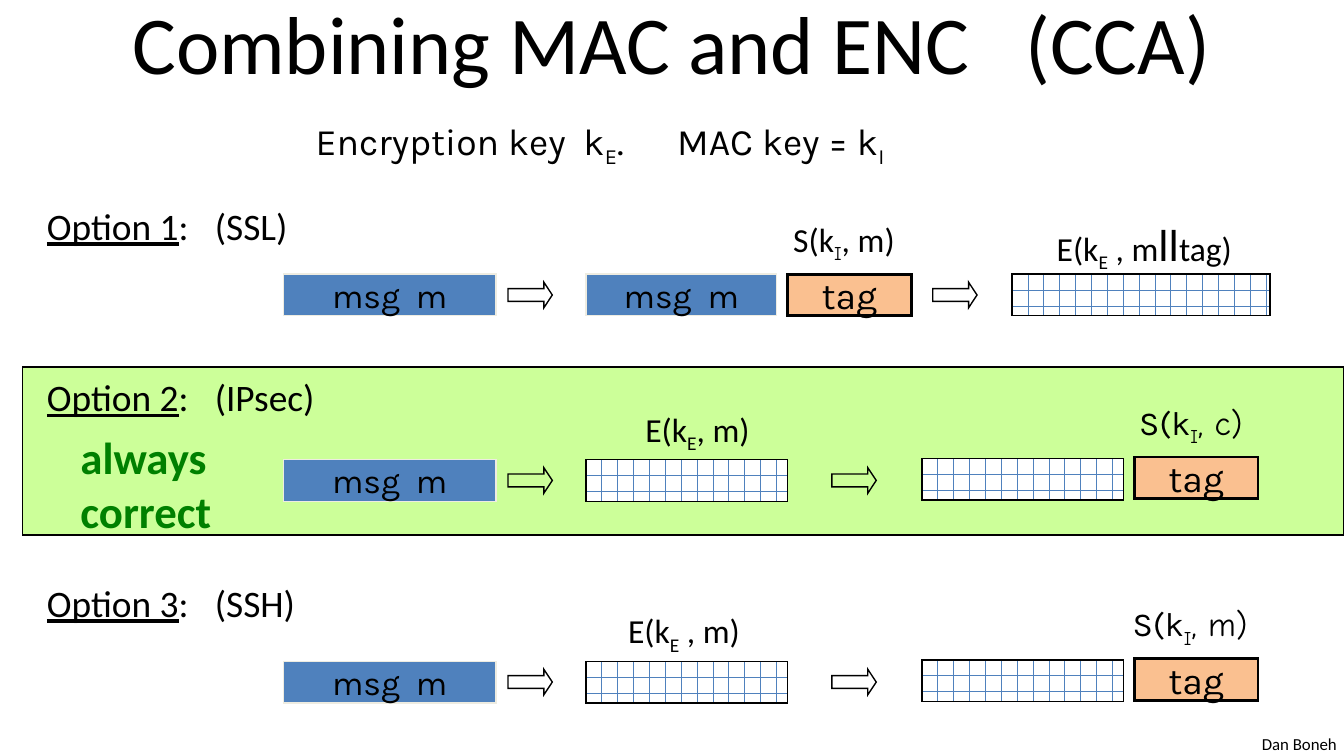
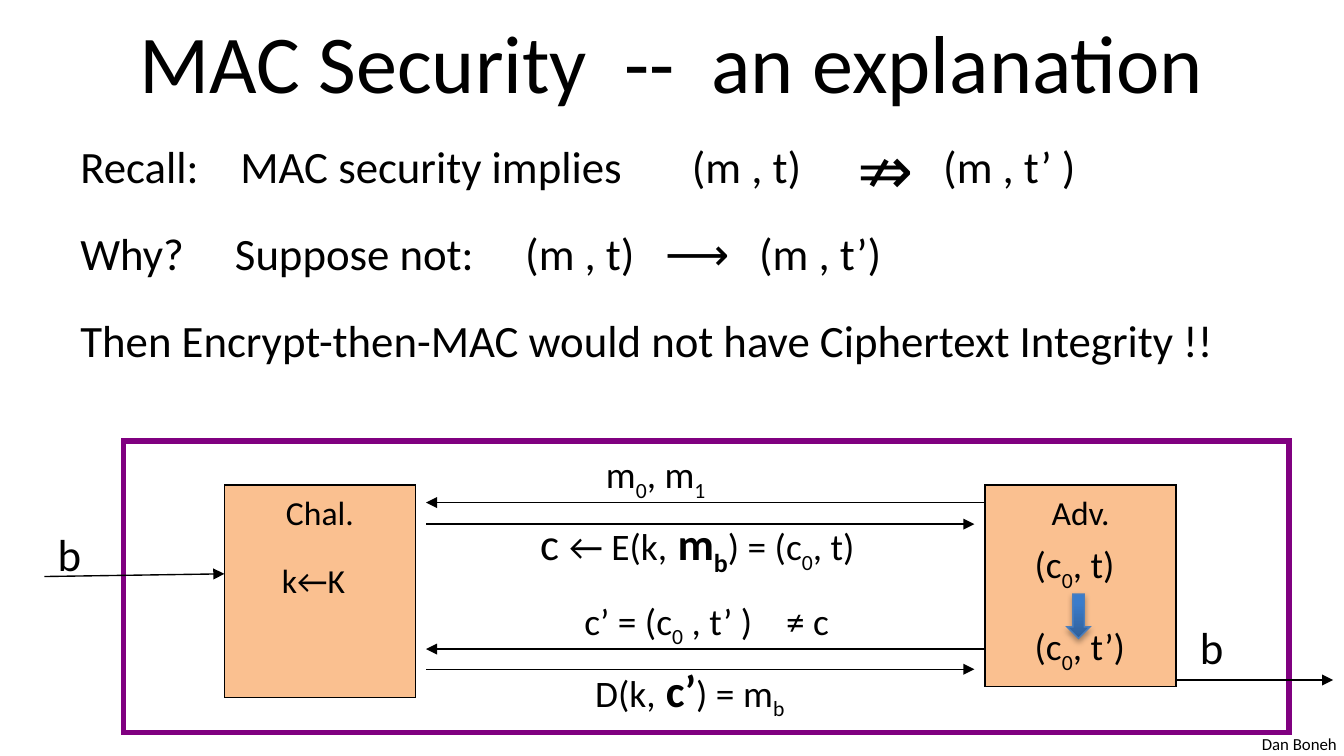
import pptx
import pptx.util
import pptx.dml.color
import pptx.enum.dml
import pptx.enum.shapes
import pptx.enum.text
import pptx.oxml
import pptx.oxml.ns
import lxml.etree

# Shared look
hue = pptx.dml.color.RGBColor.from_string
Pt = pptx.util.Pt
KIND = pptx.enum.shapes.MSO_SHAPE
ALIGN = pptx.enum.text.PP_ALIGN
ANCHOR = pptx.enum.text.MSO_ANCHOR
FIT = pptx.enum.text.MSO_AUTO_SIZE
QN = pptx.oxml.ns.qn
BLACK, BLUE, PEACH = "000000", "4F81BD", "FAC090"
LIME, GREEN, PURPLE, CREAM = "CCFF99", "008000", "800080", "EEECE1"
SUB = {"sub": True}
LINE = {"under": True}
BRICK = "brick"

deck = pptx.Presentation()
deck.slide_width = pptx.util.Inches(10)
deck.slide_height = deck.slide_width * 9 // 16
CELL = deck.slide_width / 100  # grid of 100 columns, square cells


def say(par, runs, size, font="Calibri", tint=BLACK):
    """Add runs of (text, options) to a paragraph."""
    for text, opts in runs:
        run = par.add_run()
        run.text = text
        run.font.size = Pt(opts.get("size", size))
        run.font.name = opts.get("font", font)
        run.font.bold = opts.get("bold", False)
        run.font.underline = opts.get("under", False)
        run.font.color.rgb = hue(tint)
        if opts.get("sub"):
            run.font._element.set("baseline", "-25000")


def draw(page, kind, at, runs=(), size=18, font="Calibri", fill=None,
         edge=BLACK, wide=0.75, mid=True):
    """Add a shape, or a text box if kind is None; at is in grid cells."""
    spot = [round(n * CELL) for n in at]
    if kind is None:
        item = page.shapes.add_textbox(*spot)
        item.text_frame.auto_size = FIT.SHAPE_TO_FIT_TEXT
    else:
        item = page.shapes.add_shape(kind, *spot)
        item.shadow.inherit = False
        item.line.color.rgb = hue(edge)
        item.line.width = Pt(wide)
        lxml.etree.SubElement(item.line._get_or_add_ln(), QN("a:miter"),
                              lim="800000")
        if fill is None:
            item.fill.background()
        elif fill == BRICK:
            item.fill.patterned()
            item.fill.pattern = pptx.enum.dml.MSO_PATTERN.HORIZONTAL_BRICK
            item.fill.fore_color.rgb = hue(BLUE)
            item.fill.back_color.rgb = hue("FFFFFF")
        else:
            item.fill.solid()
            item.fill.fore_color.rgb = hue(fill)
    frame = item.text_frame
    frame.word_wrap = False
    frame.vertical_anchor = ANCHOR.MIDDLE if kind and mid else ANCHOR.TOP
    frame.paragraphs[0].alignment = ALIGN.CENTER if kind else ALIGN.LEFT
    say(frame.paragraphs[0], runs, size, font)
    return item


# Titles, body text and footers
# Body lines: space before, tab stops in cells, font, runs
plans = [
    ("Combining MAC and ENC   (CCA)", (7.5, 0, 85, 6.2),
     (2.5, 8.3, 89.4, 45.6), 20, [
        (0, [20, 46.9], "Karla", [
            ("\tEncryption key  k", {}), ("E", SUB),
            (".\tMAC key = k", {}), ("I", SUB)]),
        (18, [12.5], "Calibri", [("Option 1", LINE), (":\t(SSL)", {})]),
        (68, [12.5], "Calibri", [("Option 2", LINE), (":\t(IPsec)", {})]),
        (86, [12.5], "Calibri", [("Option 3", LINE), (":\t(SSH)", {})])]),
    ("MAC Security  --  an explanation", (5, -0.2, 90, 9.4),
     (5, 9.8, 90, 20), 24, [
        (0, [11.9, 45.5, 64.2], "Calibri", [
            ("Recall:\tMAC security implies\t(m , t)\t(m , t’ )", {})]),
        (17.8, [11.5, 33.1, 43.5, 50.5], "Calibri", [
            ("Why?\tSuppose not:\t(m , t)\t⟶\t(m , t’)", {})]),
        (17.8, [], "Calibri", [
            ("Then Encrypt-then-MAC would not have "
             "Ciphertext Integrity !!", {})])]),
]
pages = []
for name, top, area, size, lines in plans:
    page = deck.slides.add_slide(deck.slide_layouts[5])
    pages.append(page)
    title = page.shapes.title
    title.left, title.top, title.width, title.height = [
        round(n * CELL) for n in top]
    title.text_frame.auto_size = FIT.NONE
    title.text_frame.vertical_anchor = ANCHOR.MIDDLE
    title.text_frame.paragraphs[0].alignment = ALIGN.CENTER
    say(title.text_frame.paragraphs[0], [(name, {})], 44)

    frame = draw(page, None, area).text_frame
    frame.auto_size = FIT.NONE
    frame.word_wrap = True
    for row, (gap, tabs, font, runs) in enumerate(lines):
        par = frame.add_paragraph() if row else frame.paragraphs[0]
        par.space_before = Pt(gap)
        stops = lxml.etree.SubElement(
            par._p.get_or_add_pPr(), QN("a:tabLst"))
        for tab in tabs:
            lxml.etree.SubElement(stops, QN("a:tab"),
                                  pos=str(round(tab * CELL)), algn="l")
        say(par, runs, size, font)
    draw(page, None, (92.9, 54.1, 7.6, 2.5), [("Dan Boneh", {})], 9)

# Slide 1: band behind the recommended option
first, second = pages
band = draw(first, KIND.RECTANGLE, (1.7, 27.3, 98.3, 12.5), fill=LIME)
first.shapes._spTree.insert(2, band._element)

# Slide 1: one chain of blocks per option; left, shift down, width
MSG, TAG, CODE, ARROW = "msg  m", "tag", "code", "arrow"
start = [(MSG, 21.1, 0, 15.8), (ARROW, 37.8, 0.6, 3.3)]
later = start + [(CODE, 43.6, 0, 15), (ARROW, 61.9, 0.6, 3.3),
                 (CODE, 68.6, -0.1, 15), (TAG, 84.4, -0.2, 9.2)]
chains = [
    (20.4, start + [(MSG, 43.6, 0, 14.2), (TAG, 58.6, 0, 9.2),
                    (ARROW, 69.4, 0.6, 3.3), (CODE, 75.3, 0, 19.2)]),
    (34.2, later),
    (49.2, later),
]
for row, chain in chains:
    for part, left, drop, wide in chain:
        at = (left, row + drop, wide, 1.9 if part == ARROW else 3.1)
        if part == ARROW:
            arrow = draw(first, KIND.RIGHT_ARROW, at)
            arrow.adjustments[1] = 0.33
        elif part == CODE:
            draw(first, KIND.RECTANGLE, at, fill=BRICK)
        elif part == MSG:
            draw(first, KIND.RECTANGLE, at, [(MSG, {})], 18, "Karla",
                 BLUE, CREAM)
        else:
            draw(first, KIND.RECTANGLE, at, [(TAG, {})], 20, "Karla",
                 PEACH, wide=1.5)

# Slide 1: formulas above the blocks
SIGN = {"sub": True, "font": "Comic Neue"}
COMIC = {"font": "Comic Neue"}
marks = [
    ((77.5, 15.6, 15.3, 5), "Calibri", [
        ("E(k", {}), ("E", SUB), (" , m", {}), ("ll", {"size": 24}),
        ("tag)", {})]),
    ((57.8, 15.8, 10, 4), "Calibri", [
        ("S(k", {}), ("I", SIGN), (", m)", {})]),
    ((46.9, 29.9, 10, 4), "Calibri", [
        ("E(k", {}), ("E", SUB), (", m)", {})]),
    ((83.5, 29.4, 10.2, 4), "Karla", [
        ("S(k", {}), ("I", SIGN), (", c)", COMIC)]),
    ((45.6, 44.9, 10.6, 4), "Calibri", [
        ("E(k", {}), ("E", SUB), (" , m)", {})]),
    ((83.1, 44.4, 10.9, 4), "Karla", [
        ("S(k", {}), ("I", SIGN), (", m)", COMIC)]),
]
for at, font, runs in marks:
    mark = draw(first, None, at, runs, 18, font)
    mark.text_frame.paragraphs[0].alignment = ALIGN.CENTER

# Slide 1: verdict
par = draw(first, None, (5, 31.5, 11.9, 9.1)).text_frame.paragraphs[0]
say(par, [("always", {"bold": True})], 24, tint=GREEN)
par.add_line_break()
say(par, [("correct", {"bold": True})], 24, tint=GREEN)

# Slide 2: players and frame
for name, at in [("Chal.", (16.7, 36.1, 14.2, 15.8)),
                 ("Adv.", (73.3, 36.1, 14.2, 15))]:
    draw(second, KIND.RECTANGLE, at, [(name, {})], fill=PEACH, mid=False)
draw(second, KIND.RECTANGLE, (9.2, 32.8, 86.7, 21.7), edge=PURPLE, wide=3)

# Slide 2: messages
for ends in [(3.3, 42.9, 16.7, 42.7),
             (73.3, 37.4, 31.7, 37.4), (31.7, 39, 72.5, 39),
             (73.3, 48.3, 31.7, 48.3), (31.7, 49.8, 72.5, 49.8),
             (87.5, 50.6, 99.2, 50.6)]:
    wire = second.shapes.add_connector(
        pptx.enum.shapes.MSO_CONNECTOR.STRAIGHT,
        *[round(n * CELL) for n in ends])
    wire.line.color.rgb = hue(BLACK)
    wire.line.width = Pt(0.75)
    lxml.etree.SubElement(wire.line._get_or_add_ln(), QN("a:tailEnd"),
                          type="triangle")
    lxml.etree.SubElement(wire._element.spPr, QN("a:effectLst"))

# Slide 2: labels
BIG = {"size": 24, "bold": True}
notes = [
    ((62.8, 9, 5.4, 7.1), 36, [("⇏", {})]),
    ((3.3, 38.7, 3.8, 5), 24, [("b", {})]),
    ((88.3, 45.6, 3.8, 5), 24, [("b", {})]),
    ((20, 41.2, 7, 4), 18, [("k←K", {})]),
    ((44.1, 33.1, 9.7, 4.4), 20, [
        ("m", {}), ("0", SUB), (", m", {}), ("1", SUB)]),
    ((39.2, 37.9, 26.1, 5.1), 20, [
        ("c ", {"size": 24}), ("← E(k,", {}), (" m", BIG),
        ("b", {**BIG, **SUB}), (") = (c", {}), ("0", SUB), (", t)", {})]),
    ((42.5, 44, 20.4, 4.4), 20, [
        ("c’ = (c", {}), ("0", SUB), (" , t’ )    ≠ c", {})]),
    ((43.3, 48.8, 16.4, 5.1), 20, [
        ("D(k,", {}), (" c’", BIG), (") = m", {}), ("b", SUB)]),
    ((76, 39.8, 8.1, 4.4), 20, [("(c", {}), ("0", SUB), (", t)", {})]),
    ((76, 45.9, 8.8, 4.4), 20, [("(c", {}), ("0", SUB), (", t’)", {})]),
]
for at, size, runs in notes:
    draw(second, None, at, runs, size)

# Slide 2: shaded arrow between the two pairs
arrow = draw(second, KIND.DOWN_ARROW, (79.4, 44.2, 1.7, 3.3), edge="4B7EBC")
arrow.fill.gradient()
arrow.fill.gradient_angle = 90
for stop, tint, place in zip(arrow.fill.gradient_stops,
                             ("2F5F99", "3A7CCB"), (0, 0.8)):
    stop.color.rgb = hue(tint)
    stop.position = place
glow = lxml.etree.SubElement(
    arrow._element.spPr.find(QN("a:effectLst")), QN("a:outerShdw"),
    blurRad=str(Pt(3.1)), dist=str(Pt(1.8)), dir="5400000", rotWithShape="0")
shade = lxml.etree.SubElement(glow, QN("a:srgbClr"), val=BLACK)
lxml.etree.SubElement(shade, QN("a:alpha"), val="35000")

deck.save("out.pptx")
